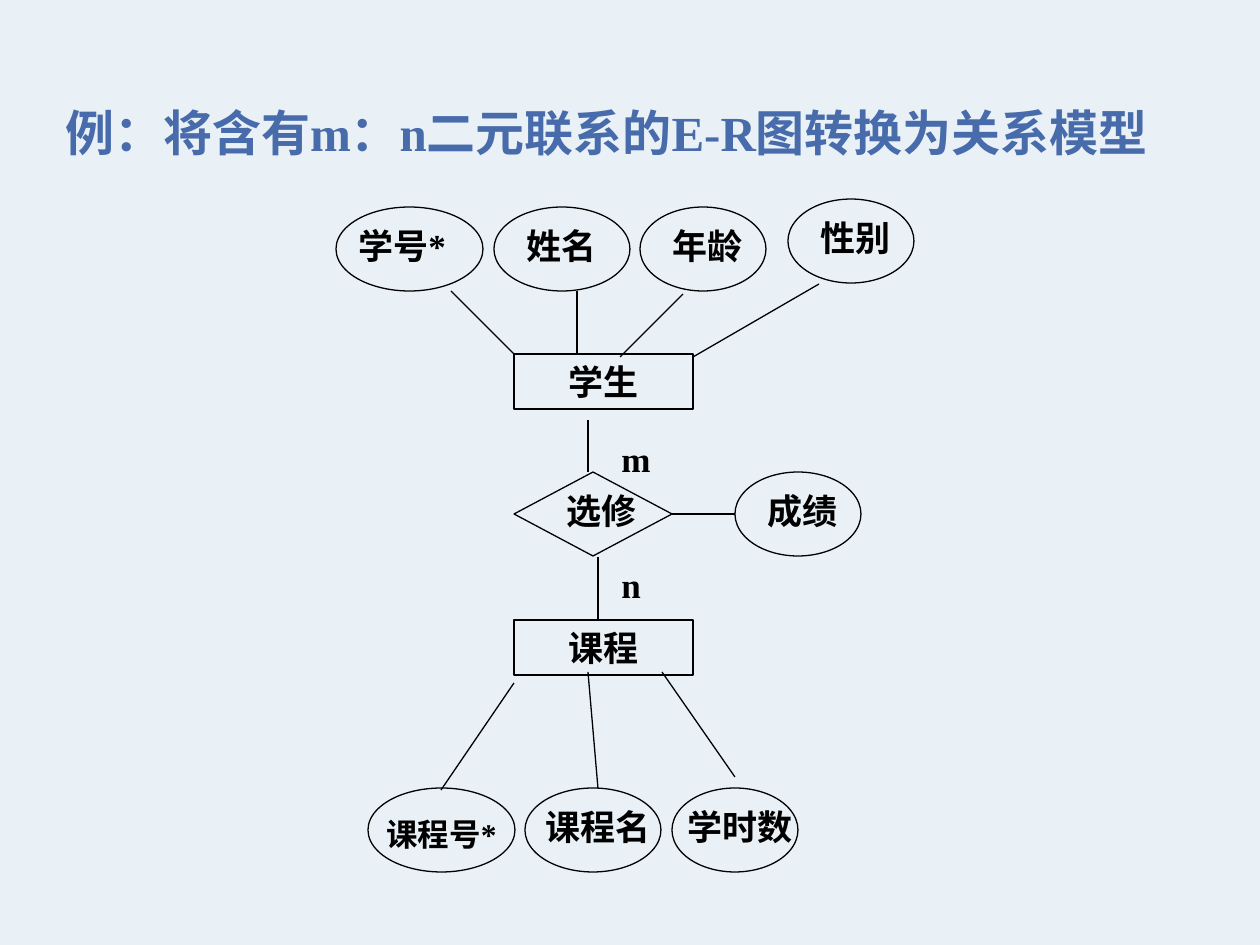
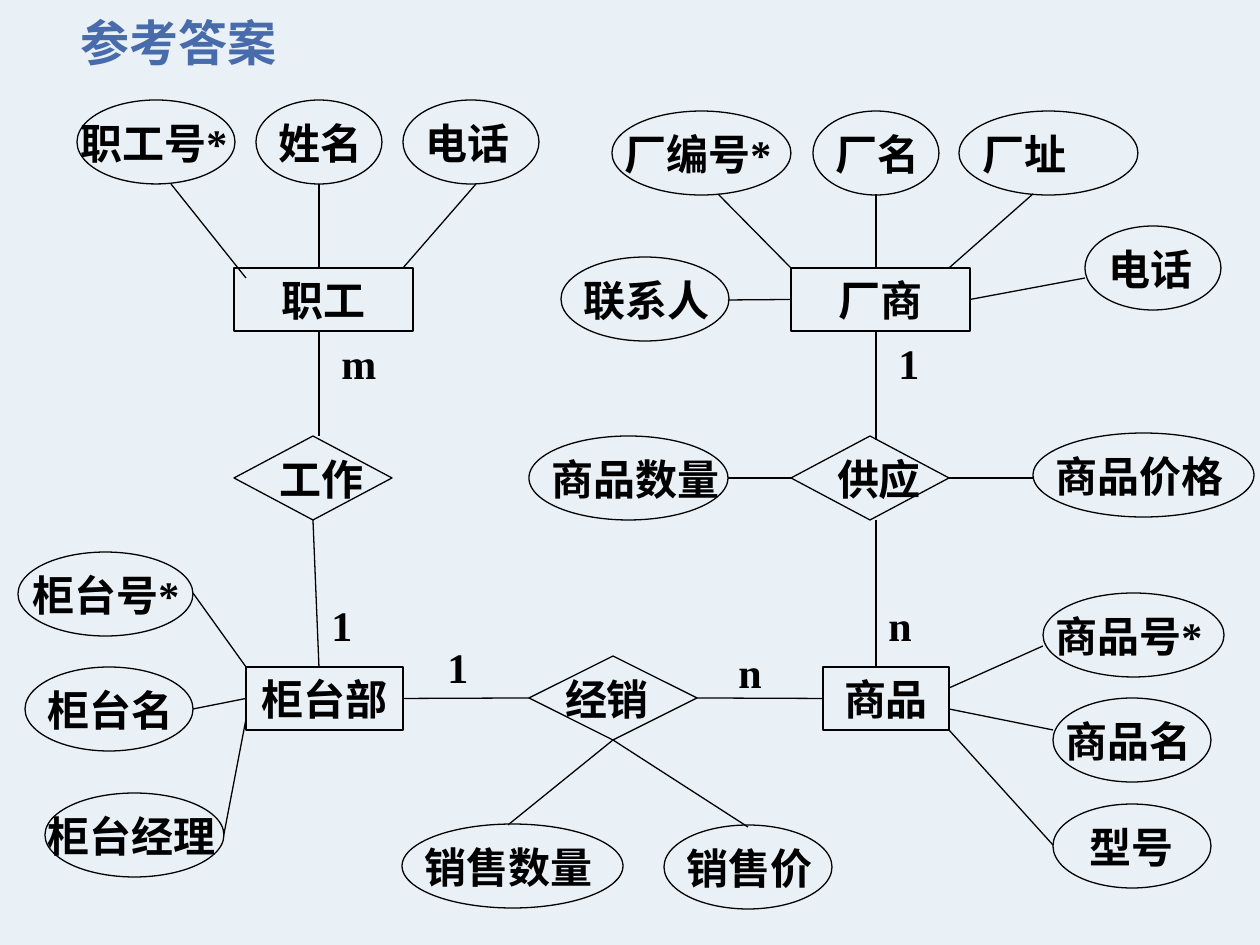
from lxml.etree import SubElement
from pptx import Presentation
from pptx.dml.color import RGBColor
from pptx.enum.shapes import MSO_CONNECTOR, MSO_SHAPE
from pptx.enum.text import PP_ALIGN
from pptx.oxml.ns import qn
from pptx.util import Emu, Pt

EMU_PER_PX = 914400 / 126
BACKGROUND, TITLE_COLOR, INK = "EAF1F6", "476BAB", "000000"
FONT = "Times New Roman"
TITLE_SIZE = 28
NODE_HEIGHT = 84      # ellipses and diamonds
LABEL_DROP = 11       # from the top of a node to its label
LEFT, CENTER = PP_ALIGN.LEFT, PP_ALIGN.CENTER
SIDES = {"top": 0, "left": 1, "bottom": 2, "right": 3}


def px(length):
    return Emu(round(length * EMU_PER_PX))


def color(hex_string):
    return RGBColor.from_string(hex_string)


def write(shape, text, size, hex_color=INK, align=LEFT):
    frame = shape.text_frame
    frame.word_wrap = True
    paragraph = frame.paragraphs[0]
    paragraph.alignment = align
    run = paragraph.add_run()
    run.text = text
    run.font.name = FONT
    run.font.size = Pt(size)
    run.font.bold = True
    run.font.color.rgb = color(hex_color)


def add_label(slide, box, text, size, hex_color=INK, align=LEFT):
    label = slide.shapes.add_textbox(*map(px, box))
    write(label, text, size, hex_color, align)


def add_title(slide, box, text):
    add_label(slide, box, text, TITLE_SIZE, TITLE_COLOR)


class ErDiagram:
    """Draws entities, relationships and attributes relative to a box."""

    def __init__(self, slide, box, size, label_height):
        self.slide = slide
        self.left, self.top = box[:2]
        self.size = size
        self.label_height = label_height
        self.nodes = {}

    def place(self, x, y, width, height):
        return self.left + x, self.top + y, width, height

    def outline(self, kind, x, y, width, height):
        shape = self.slide.shapes.add_shape(kind, *map(px, self.place(x, y, width, height)))
        shape.shadow.inherit = False
        shape.fill.background()
        shape.line.color.rgb = color(INK)
        shape.line.width = Pt(0.75)
        return shape

    def label(self, text, x, y, width, align=LEFT, size=None):
        box = self.place(x, y, width, self.label_height)
        add_label(self.slide, box, text, size or self.size, align=align)

    def entity(self, name, x, y, width):
        shape = self.outline(MSO_SHAPE.RECTANGLE, x, y, width, self.label_height)
        write(shape, name, self.size, align=CENTER)
        self.nodes[name] = shape

    def relationship(self, name, x, y, width, indent):
        self.nodes[name] = self.outline(
            MSO_SHAPE.FLOWCHART_DECISION, x, y, width, NODE_HEIGHT)
        self.label(name, x + indent, y + LABEL_DROP, 134, CENTER)

    def attribute(self, name, x, y, width, indent, label_width,
                  align=LEFT, drop=LABEL_DROP, size=None):
        self.outline(MSO_SHAPE.OVAL, x, y, width, NODE_HEIGHT)
        self.label(name, x + indent, y + drop, label_width, align, size)

    def link(self, start, end):
        """Each end is a point (x, y) or a joint (node name, side)."""
        points = []
        for first, second in (start, end):
            if first in self.nodes:
                points += [0, 0]    # moved when the end is joined
            else:
                points += [px(self.left + first), px(self.top + second)]
        line = self.slide.shapes.add_connector(MSO_CONNECTOR.STRAIGHT, *points)
        line.line.color.rgb = color(INK)
        line.line.width = Pt(0.75)
        SubElement(line._element.spPr, qn("a:effectLst"))
        for (name, side), join in ((start, line.begin_connect), (end, line.end_connect)):
            if name in self.nodes:
                join(self.nodes[name], SIDES[side])

    def links(self, *pairs):
        for start, end in pairs:
            self.link(start, end)


def student_region(diagram):
    diagram.entity("学生", 184, 164, 179)
    for name, x, y, width, indent, label_width, align in (
            ("学号*", 6, 17, 147, 10, 136, LEFT),
            ("姓名", 164, 17, 136, 10, 116, CENTER),
            ("年龄", 310, 17, 126, 0, 136, CENTER),
            ("性别", 458, 9, 126, 0, 136, CENTER)):
        diagram.attribute(name, x, y, width, indent, label_width, align)
    diagram.links(
        ((121, 101), (184, 164)),
        ((247, 101), (247, 164)),
        ((353, 104), (290, 167)),
        ((363, 167), (489, 94)))


def course_region(diagram):
    diagram.entity("课程", 184, 430, 179)
    diagram.attribute("课程号*", 38, 598, 147, 6, 147, drop=21, size=18)
    diagram.attribute("课程名", 195, 598, 136, 0, 147, CENTER)
    diagram.attribute("学时数", 342, 598, 126, 0, 136, CENTER)
    diagram.links(
        ((184, 493), (111, 600)),
        ((258, 482), (268, 598)),
        ((332, 482), (405, 587)))


def enrolment_region(diagram):
    diagram.relationship("选修", 184, 282, 158, 21)
    diagram.attribute("成绩", 405, 282, 126, 0, 136, CENTER)
    diagram.label("m", 279, 241, 53)
    diagram.label("n", 279, 367, 53)
    diagram.links(
        ((258, 230), (258, 282)),
        ((268, 367), (268, 430)),
        (("选修", "right"), (405, 324)))


def staff_region(diagram):
    diagram.entity("职工", 234, 178, 179)
    diagram.attribute("职工号*", 77, 10, 158, -9, 188)
    diagram.attribute("姓名", 256, 10, 126, 10, 168)
    diagram.attribute("电话", 403, 10, 136, 10, 116)
    diagram.links(
        ((171, 94), (246, 188)),
        ((319, 94), (319, 178)),
        ((476, 94), (403, 178)))


def counter_region(diagram):
    diagram.entity("柜台部", 246, 577, 157)
    diagram.attribute("柜台号*", 18, 462, 175, 2, 190)
    diagram.attribute("柜台名", 25, 577, 168, 10, 168)
    diagram.attribute("柜台经理", 45, 703, 179, -10, 199)
    diagram.links(
        ((193, 503), (246, 577)),
        ((193, 619), ("柜台部", "left")),
        ((224, 744), (246, 629)))


def supplier_region(diagram):
    diagram.entity("厂商", 791, 178, 179)
    diagram.attribute("厂编号*", 612, 21, 179, 0, 199)
    diagram.attribute("厂名", 813, 21, 126, 10, 126)
    diagram.attribute("厂址", 959, 21, 179, 11, 168)
    diagram.attribute("电话", 1085, 136, 136, 11, 126)
    diagram.attribute("联系人", 561, 167, 168, 10, 168)
    diagram.links(
        ((718, 104), (791, 178)),
        ((876, 104), (876, 178)),
        ((1033, 104), (949, 178)),
        ((1085, 188), ("厂商", "right")),
        ((728, 210), ("厂商", "left")))


def goods_region(diagram):
    diagram.entity("商品", 823, 577, 126)
    diagram.attribute("商品号*", 1043, 503, 181, 0, 181)
    diagram.attribute("商品名", 1053, 608, 158, 0, 158)
    diagram.attribute("型号", 1053, 714, 158, 0, 158, CENTER)
    diagram.links(
        ((949, 598), (1043, 556)),
        ((949, 619), (1053, 640)),
        ((949, 640), (1053, 755)))


def shop_relationships(diagram):
    # Staff work at a counter
    diagram.relationship("工作", 234, 346, 158, 21)
    diagram.links(
        ((319, 241), (319, 346)),
        (("工作", "bottom"), (319, 577)))

    # Suppliers supply goods
    diagram.relationship("供应", 791, 346, 158, 21)
    diagram.attribute("商品数量", 529, 346, 199, 10, 199)
    diagram.attribute("商品价格", 1033, 343, 221, 10, 199)
    diagram.links(
        ((876, 241), (876, 350)),
        ((876, 430), (876, 577)),
        ((728, 388), ("供应", "left")),
        (("供应", "right"), (1033, 388)))

    # Counters sell goods
    diagram.relationship("经销", 529, 566, 168, 11)
    diagram.attribute("销售数量", 402, 734, 221, 10, 199)
    diagram.attribute("销售价", 664, 735, 168, 10, 168)
    diagram.links(
        (("柜台部", "right"), ("经销", "left")),
        (("经销", "right"), ("商品", "left")),
        (("经销", "bottom"), (508, 735)),
        (("经销", "bottom"), (748, 737)))

    # Cardinalities
    for text, x, y in (("m", 329, 241), ("1", 319, 503), ("1", 886, 241),
                       ("n", 876, 503), ("1", 435, 545), ("n", 726, 550)):
        diagram.label(text, x, y, 53)


def enrolment_slide(slide):
    add_title(slide, (53, 96, 1176, 72), "例：将含有m：n二元联系的E-R图转换为关系模型")
    diagram = ErDiagram(slide, (330, 190, 600, 690), size=20, label_height=55)
    for region in (student_region, course_region, enrolment_region):
        region(diagram)


def shop_slide(slide):
    add_title(slide, (68, 6, 620, 72), "参考答案")
    diagram = ErDiagram(slide, (0, 90, 1260, 830), size=24, label_height=63)
    for region in (staff_region, counter_region, supplier_region,
                   goods_region, shop_relationships):
        region(diagram)


def main():
    prs = Presentation()
    prs.slide_width, prs.slide_height = px(1260), px(945)
    backdrop = prs.slide_master.background.fill
    backdrop.solid()
    backdrop.fore_color.rgb = color(BACKGROUND)
    for build in (enrolment_slide, shop_slide):
        build(prs.slides.add_slide(prs.slide_layouts[6]))
    prs.save("out.pptx")


if __name__ == "__main__":
    main()
